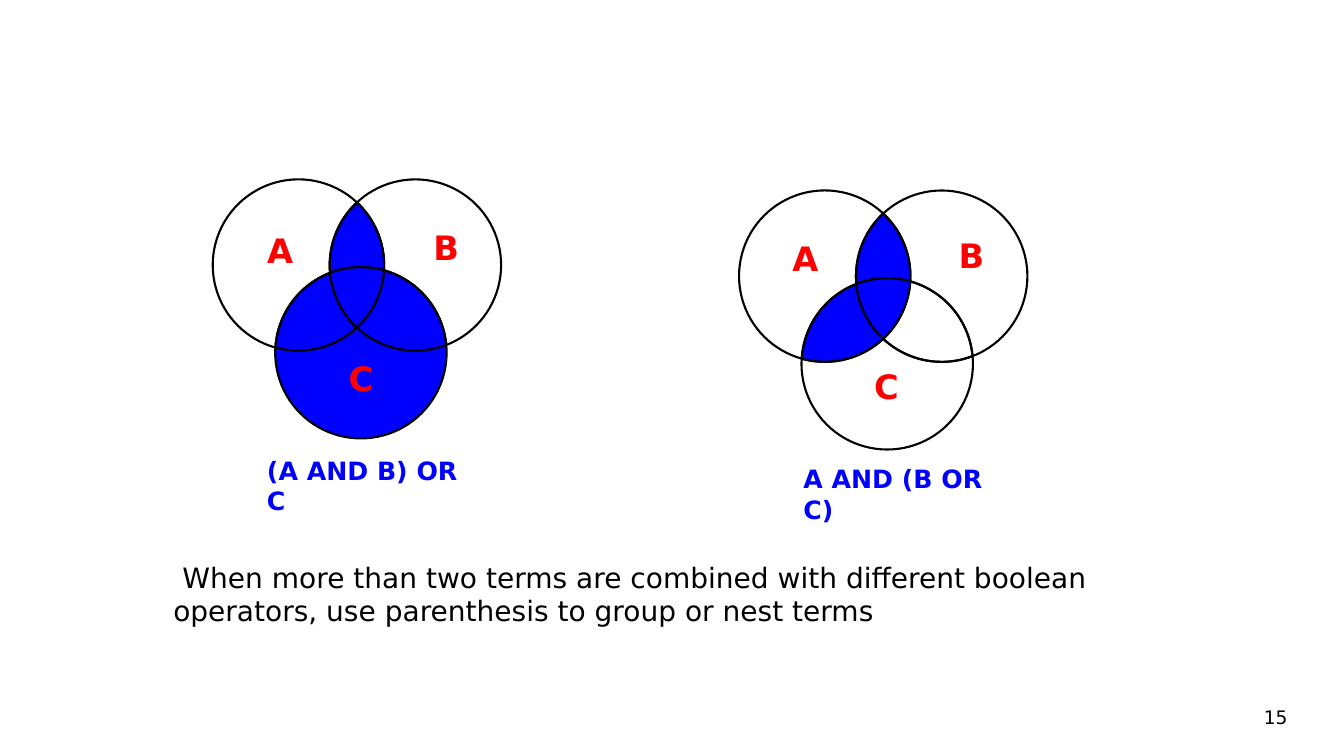
import math

import lxml.etree
import pptx
import pptx.dml.color
import pptx.enum.text
import pptx.oxml.ns
import pptx.util

Inches = pptx.util.Inches
Pt = pptx.util.Pt
qn = pptx.oxml.ns.qn
ALIGN = pptx.enum.text.PP_ALIGN
ANCHOR = pptx.enum.text.MSO_ANCHOR

THEME = {
    "font": "DejaVu Sans",
    "black": "000000", "blue": "0000FF", "red": "FF0000",
    "letter": 24, "caption": 18, "body": 20, "number": 13.3,
    "outline": 1.5,
}

# Circle centres are measured from the centre of circle A.
RADIUS = 0.85
CENTRES = {"A": (0, 0), "B": (1.16, 0), "C": (0.62, 0.87)}

# Corner name: the two circles that cross there, and which crossing it is.
CORNERS = {
    "top": ("A", "B", 1), "bottom": ("A", "B", -1),
    "inner right": ("A", "C", 1), "outer left": ("A", "C", -1),
    "outer right": ("B", "C", 1), "inner left": ("B", "C", -1),
}

# Region name lists the circles that contain it; edges run clockwise
# as (starting corner, circle followed to the next corner).
REGIONS = {
    "AB": [("top", "A"), ("inner right", "C"), ("inner left", "B")],
    "BC": [("inner right", "C"), ("outer right", "B"), ("bottom", "A")],
    "AC": [("inner left", "B"), ("bottom", "A"), ("outer left", "C")],
    "A": [("top", "B"), ("inner left", "C"), ("outer left", "A")],
    "B": [("top", "B"), ("outer right", "C"), ("inner right", "A")],
    "ABC": [("inner right", "A"), ("bottom", "B"), ("inner left", "C")],
    "C": [("bottom", "B"), ("outer right", "C"), ("outer left", "A")],
}

LETTER_OFFSETS = {"A": (0, 0), "C": (0.81, 1.27), "B": (1.65, -0.03)}
DIAGRAMS = [
    {"centre": (2.96, 2.63), "filled": {"AB", "BC", "AC", "ABC", "C"},
     "letters": (2.55, 2.23), "caption": "(A AND B) OR C", "caption_at": (2.55, 4.47)},
    {"centre": (8.18, 2.74), "filled": {"AB", "AC", "ABC"},
     "letters": (7.76, 2.31), "caption": "A AND (B OR C)", "caption_at": (7.87, 4.55)},
]
BODY = ("When more than two terms are combined with different boolean operators, "
        "use parenthesis to group or nest terms")
SLIDE_NUMBER = "15"


def color(name):
    return pptx.dml.color.RGBColor.from_string(THEME[name])


def corner_point(corner):
    first, second, side = CORNERS[corner]
    (x1, y1), (x2, y2) = CENTRES[first], CENTRES[second]
    dx, dy = x2 - x1, y2 - y1
    distance = math.hypot(dx, dy)
    reach = side * math.sqrt(RADIUS ** 2 - distance ** 2 / 4) / distance
    return (x1 + x2) / 2 + reach * dy, (y1 + y2) / 2 - reach * dx


def region_arcs(region):
    """Return (circle, start angle, sweep) for each edge, in radians."""
    edges = REGIONS[region]
    arcs = []
    for (corner, circle), (following, _) in zip(edges, edges[1:] + edges[:1]):
        cx, cy = CENTRES[circle]
        start, end = (math.atan2(y - cy, x - cx)
                      for x, y in map(corner_point, (corner, following)))
        clockwise = circle in region
        sweep = (end - start) % math.tau if clockwise else -((start - end) % math.tau)
        arcs.append((circle, start, sweep))
    return arcs


def arc_points(circle, start, sweep, steps=60):
    cx, cy = CENTRES[circle]
    angles = [start + sweep * step / steps for step in range(steps)]
    return [(cx + RADIUS * math.cos(a), cy + RADIUS * math.sin(a)) for a in angles]


def bend_edges(shape, arcs):
    """Replace the sampled segments of the outline by one true arc per edge."""
    outline = next(shape._element.iter(qn("a:path")))
    for segment in outline.findall(qn("a:lnTo")):
        outline.remove(segment)
    closing = outline.find(qn("a:close"))
    for _, start, sweep in arcs:
        arc = lxml.etree.Element(qn("a:arcTo"))
        arc.set("wR", str(Inches(RADIUS)))
        arc.set("hR", str(Inches(RADIUS)))
        arc.set("stAng", str(round(math.degrees(start % math.tau) * 60000)))
        arc.set("swAng", str(round(math.degrees(sweep) * 60000)))
        closing.addprevious(arc)


def add_region(slide, region, centre, filled):
    arcs = region_arcs(region)
    points = [(Inches(centre[0] + x), Inches(centre[1] + y))
              for arc in arcs for x, y in arc_points(*arc)]
    builder = slide.shapes.build_freeform(*points[0])
    builder.add_line_segments(points[1:], close=True)
    shape = builder.convert_to_shape()
    bend_edges(shape, arcs)
    shape.shadow.inherit = False
    if filled:
        shape.fill.solid()
        shape.fill.fore_color.rgb = color("blue")
    else:
        shape.fill.background()
    shape.line.color.rgb = color("black")
    shape.line.width = Pt(THEME["outline"])


def add_text(slide, text, box, size, color_name, bold=False, wrap=True):
    shape = slide.shapes.add_textbox(*map(Inches, box))
    shape.text_frame.word_wrap = wrap
    run = shape.text_frame.paragraphs[0].add_run()
    run.text = text
    run.font.name = THEME["font"]
    run.font.size = Pt(THEME[size])
    run.font.bold = bold
    run.font.color.rgb = color(color_name)
    return shape.text_frame


def add_diagram(slide, diagram):
    for region in REGIONS:
        add_region(slide, region, diagram["centre"], region in diagram["filled"])
    left, top = diagram["letters"]
    for letter, (dx, dy) in LETTER_OFFSETS.items():
        add_text(slide, letter, (left + dx, top + dy, 0.45, 0.5), "letter", "red",
                 bold=True, wrap=False)
    add_text(slide, diagram["caption"], (*diagram["caption_at"], 2.1, 0.4),
             "caption", "blue", bold=True)


def main():
    presentation = pptx.Presentation()
    presentation.slide_width = Inches(13.33)
    presentation.slide_height = Inches(7.5)
    slide = presentation.slides.add_slide(presentation.slide_layouts[6])

    for diagram in DIAGRAMS:
        add_diagram(slide, diagram)

    body = add_text(slide, BODY, (1.62, 5.51, 10.08, 0.77), "body", "black")
    body.paragraphs[0]._p.get_or_add_pPr().set("indent", str(Inches(0.09)))

    number = add_text(slide, SLIDE_NUMBER, (11.02, 6.82, 1.75, 0.4), "number", "black")
    number.margin_left = number.margin_right = 0
    number.margin_top = number.margin_bottom = 0
    number.vertical_anchor = ANCHOR.BOTTOM
    number.paragraphs[0].alignment = ALIGN.RIGHT

    presentation.save("out.pptx")


if __name__ == "__main__":
    main()
